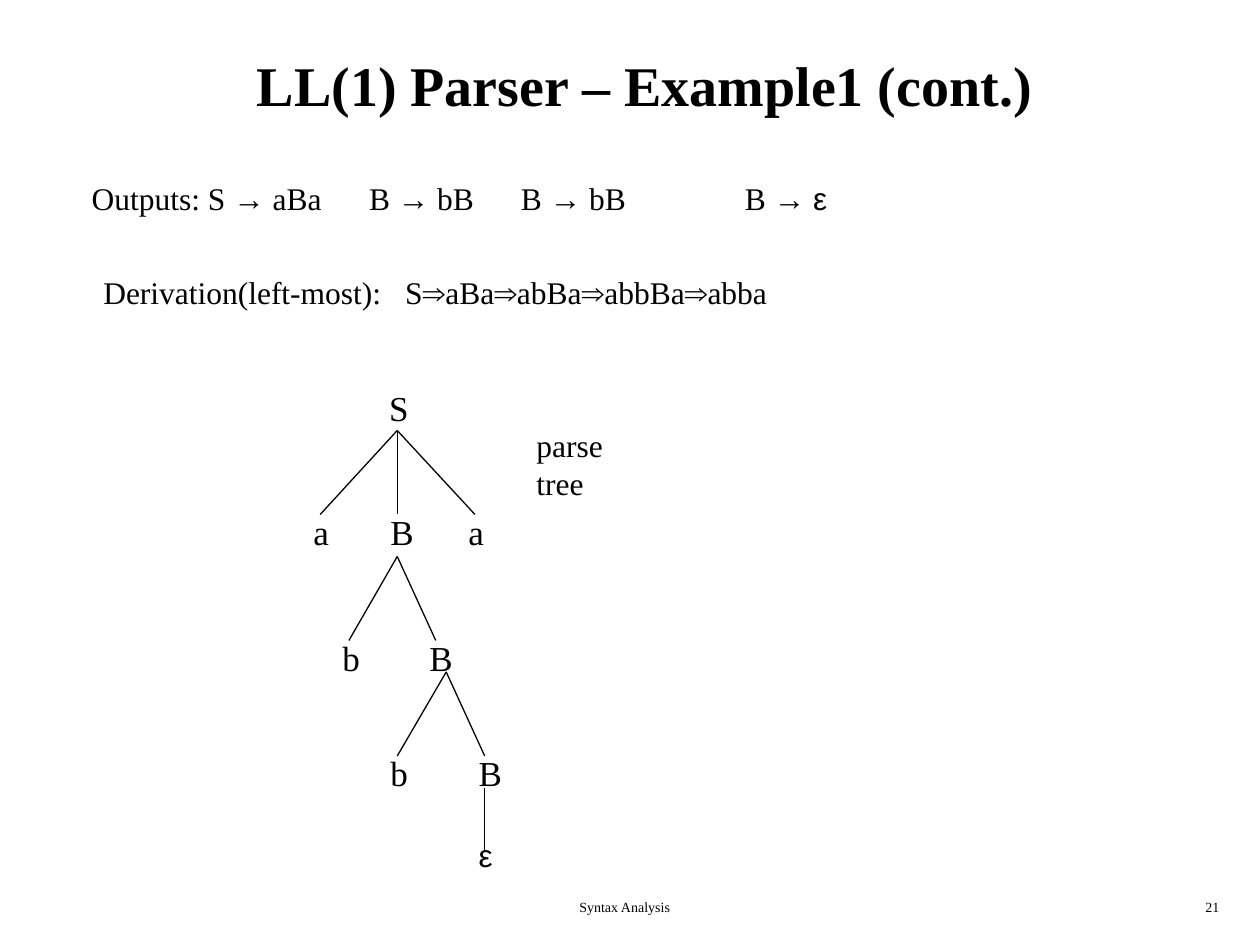
"""Build the slide with the leftmost derivation and parse tree of an LL(1) parser example."""
from dataclasses import dataclass
from itertools import groupby

from lxml.etree import SubElement
from pptx import Presentation
from pptx.dml.color import RGBColor
from pptx.enum.shapes import MSO_CONNECTOR
from pptx.enum.text import MSO_ANCHOR, MSO_AUTO_SIZE, PP_ALIGN
from pptx.oxml.ns import qn
from pptx.util import Pt


@dataclass(frozen=True)
class Theme:
    """Colours, fonts and type sizes."""
    ink: RGBColor = RGBColor(0, 0, 0)
    font: str = "Times New Roman"
    symbol_font: str = "Arial"
    symbols: str = "→⇒ε"
    title: int = 32
    node: int = 20
    text: int = 18
    footer: int = 8
    line: float = 0.75


def write(frame, text, theme, size, bold=False, align=PP_ALIGN.LEFT, tabs=()):
    """Write one paragraph, setting symbols in their own font."""
    paragraph = frame.paragraphs[0]
    paragraph.alignment = align
    if tabs:
        tab_list = SubElement(paragraph._p.get_or_add_pPr(), qn("a:tabLst"))
        for position in tabs:
            SubElement(tab_list, qn("a:tab"), pos=str(Pt(position)), algn="l")
    for is_symbol, letters in groupby(text, lambda letter: letter in theme.symbols):
        run = paragraph.add_run()
        run.text = "".join(letters)
        run.font.name = theme.symbol_font if is_symbol else theme.font
        run.font.size = Pt(size)
        run.font.bold = bold
        run.font.color.rgb = theme.ink


class Builder:
    """Draw the kinds of element on the current slide."""

    def __init__(self, slide, theme):
        self.slide = slide
        self.theme = theme

    def title(self, text, left, top, width, height):
        """Place and fill the title placeholder."""
        shape = self.slide.shapes.title
        shape.left, shape.top, shape.width, shape.height = map(Pt, (left, top, width, height))
        shape.text_frame.vertical_anchor = MSO_ANCHOR.MIDDLE
        write(shape.text_frame, text, self.theme, self.theme.title, True, PP_ALIGN.CENTER)

    def text(self, text, left, top, width, height, size, wrap=True, **style):
        """Add a text box."""
        shape = self.slide.shapes.add_textbox(*map(Pt, (left, top, width, height)))
        frame = shape.text_frame
        frame.word_wrap = wrap
        frame.auto_size = MSO_AUTO_SIZE.NONE if wrap else MSO_AUTO_SIZE.SHAPE_TO_FIT_TEXT
        write(frame, text, self.theme, size, **style)

    def branches(self, parent, children, grouped=False):
        """Draw lines from a parent point to each child point."""
        shapes = self.slide.shapes
        if grouped:
            shapes = shapes.add_group_shape().shapes
        for child in children:
            connector = shapes.add_connector(
                MSO_CONNECTOR.STRAIGHT, *map(Pt, (*parent, *child)))
            connector.line.color.rgb = self.theme.ink
            connector.line.width = Pt(self.theme.line)
            SubElement(connector._element.spPr, qn("a:effectLst"))


def main():
    """Build and save the presentation."""
    theme = Theme()
    presentation = Presentation()
    presentation.slide_width, presentation.slide_height = Pt(720), Pt(540)
    slide = presentation.slides.add_slide(presentation.slide_layouts[5])
    builder = Builder(slide, theme)

    builder.text("Syntax Analysis", 222, 510, 270, 18, theme.footer, align=PP_ALIGN.CENTER)
    builder.text("21", 554, 510, 150, 18, theme.footer, align=PP_ALIGN.RIGHT)
    builder.title("LL(1) Parser – Example1 (cont.)", 28, 12, 681, 72)
    builder.text("Outputs: S → aBa\tB → bB\tB → bB\tB → ε", 45.3, 98.6, 446.4, 28.8,
                 theme.text, tabs=(158.5, 245.3, 373.3))
    builder.text("Derivation(left-most):\tS⇒aBa⇒abBa⇒abbBa⇒abba", 52, 152.6, 399, 28.8,
                 theme.text, tabs=(172.5,))

    builder.branches((227, 246), [(183, 294), (271.4, 294), (227, 294)])
    builder.branches((227, 318), [(199.4, 366), (249, 366)], grouped=True)
    builder.branches((255, 384), [(227, 432), (277, 432)], grouped=True)
    builder.branches((277, 450), [(277, 486)])

    widths = {"S": 25.2, "B": 27.4, "a": 23, "b": 24.5}
    nodes = [("S", 215.3, 217.4), ("B", 216, 288), ("a", 172, 288), ("a", 260.6, 288),
             ("B", 238.3, 360), ("B", 266.4, 426), ("b", 216, 426), ("b", 188.6, 360)]
    for label, left, top in nodes:
        builder.text(label, left, top, widths[label], 31.7, theme.node, wrap=False)
    builder.text("ε", 266.4, 474, 22.3, 28.8, theme.text, wrap=False)
    builder.text("parse tree", 299.5, 240, 83.5, 28.8, theme.text, wrap=False)

    presentation.save("out.pptx")


if __name__ == "__main__":
    main()
